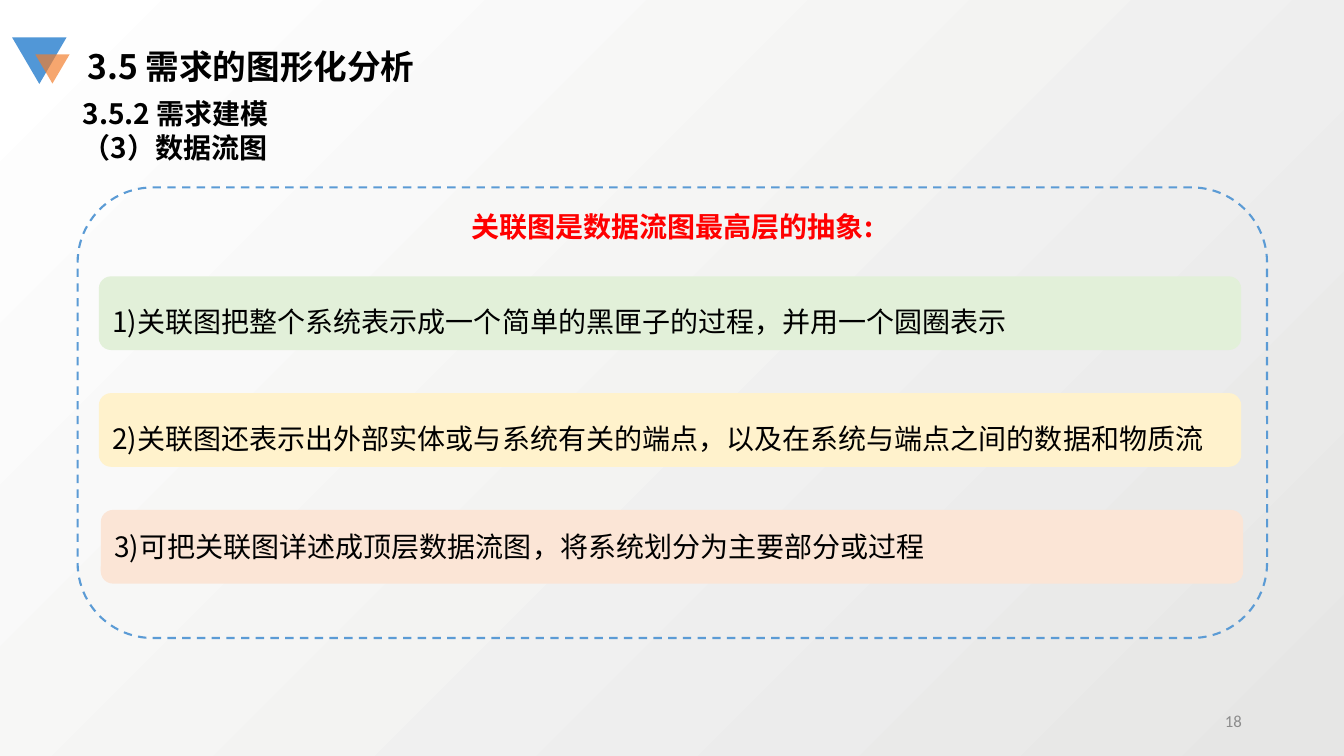
from dataclasses import dataclass
from typing import Optional

from lxml.etree import SubElement
from pptx import Presentation
from pptx.dml.color import RGBColor
from pptx.enum.dml import MSO_LINE
from pptx.enum.shapes import MSO_SHAPE
from pptx.enum.text import MSO_ANCHOR, PP_ALIGN
from pptx.oxml.ns import qn
from pptx.util import Inches, Pt

# Slide grid: 40 columns by 20 rows
WIDTH, HEIGHT = Inches(13.33), Inches(7.5)
COLUMN, ROW = WIDTH / 40, HEIGHT / 20


@dataclass(frozen=True)
class Theme:
    cjk: str = "Noto Sans CJK SC"
    latin: str = "Calibri"
    title_size: int = 24
    body_size: int = 20
    number_size: int = 12
    ink: str = "000000"
    accent: str = "FF0000"
    muted: str = "8C8C8C"
    frame: str = "5B9BD5"
    blue: str = "5197D7"
    orange: str = "F37D2A"
    shade: str = "E6E6E5"
    light: str = "FFFFFF"
    green: str = "E2F0D9"
    yellow: str = "FFF2CC"
    peach: str = "FBE5D6"


THEME = Theme()


@dataclass(frozen=True)
class Area:
    """Place on the grid, in columns and rows."""
    left: float
    top: float
    width: float
    height: float

    def emu(self) -> tuple:
        return (round(self.left * COLUMN), round(self.top * ROW),
                round(self.width * COLUMN), round(self.height * ROW))


@dataclass(frozen=True)
class Triangle:
    area: Area
    color: str
    opacity: int


@dataclass(frozen=True)
class Point:
    text: str
    fill: str
    left: float = 2.94
    spacing: float = 1.5


TRIANGLES = [
    Triangle(Area(0.36, 0.99, 1.62, 1.23), THEME.blue, 100),
    Triangle(Area(1.05, 1.44, 1.02, 0.77), THEME.orange, 68),
]
POINTS = [
    Point("1)关联图把整个系统表示成一个简单的黑匣子的过程，并用一个圆圈表示", THEME.green),
    Point("2)关联图还表示出外部实体或与系统有关的端点，以及在系统与端点之间的数据和物质流",
          THEME.yellow),
    Point("3)可把关联图详述成顶层数据流图，将系统划分为主要部分或过程", THEME.peach,
          left=3, spacing=1),
]
FIRST_POINT, POINT_STEP = 7.31, 3.09
BAR_WIDTH, BAR_HEIGHT = 34, 1.95


def write(box, text: str, *, size: int = THEME.body_size, color: str = THEME.ink,
          font: str = THEME.cjk, bold: bool = False, align=PP_ALIGN.LEFT,
          anchor=MSO_ANCHOR.MIDDLE, spacing: float = 1, wrap: bool = True) -> None:
    """Fill a box with text, one paragraph per line."""
    frame = box.text_frame
    frame.word_wrap = wrap
    frame.vertical_anchor = anchor
    for index, line in enumerate(text.split("\n")):
        para = frame.add_paragraph() if index else frame.paragraphs[0]
        para.alignment = align
        para.line_spacing = spacing
        span = para.add_run()
        span.text = line
        span.font.size = Pt(size)
        span.font.bold = bold
        span.font.name = font
        span.font.color.rgb = RGBColor.from_string(color)
        SubElement(span.font._element, qn("a:ea")).set("typeface", font)


def add_figure(page, kind, area: Area, fill: Optional[str] = None,
               line: Optional[str] = None, opacity: int = 100):
    figure = page.shapes.add_shape(kind, *area.emu())
    figure.shadow.inherit = False
    if fill:
        figure.fill.solid()
        figure.fill.fore_color.rgb = RGBColor.from_string(fill)
        if opacity < 100:
            color = figure.fill._xPr.find(".//" + qn("a:srgbClr"))
            SubElement(color, qn("a:alpha")).set("val", str(opacity * 1000))
    else:
        figure.fill.background()
    if line:
        figure.line.color.rgb = RGBColor.from_string(line)
        figure.line.width = Pt(1.5)
        figure.line.dash_style = MSO_LINE.DASH
    else:
        figure.line.fill.background()
    return figure


def add_text(page, area: Area, text: str, **style) -> None:
    write(page.shapes.add_textbox(*area.emu()), text, **style)


def paint_background(page) -> None:
    fill = page.background.fill
    fill.gradient()
    fill.gradient_angle = 135
    for stop, color in zip(fill.gradient_stops, (THEME.shade, THEME.light)):
        stop.color.rgb = RGBColor.from_string(color)


def main() -> None:
    deck = Presentation()
    deck.slide_width, deck.slide_height = WIDTH, HEIGHT
    page = deck.slides.add_slide(deck.slide_layouts[6])
    paint_background(page)

    # Heading mark and headings
    for mark in TRIANGLES:
        add_figure(page, MSO_SHAPE.ISOSCELES_TRIANGLE, mark.area, mark.color,
                   opacity=mark.opacity).rotation = 180
    add_text(page, Area(2.31, 1.07, 10.59, 1.33), "3.5 需求的图形化分析",
             size=THEME.title_size, bold=True, anchor=MSO_ANCHOR.TOP, wrap=False)
    add_text(page, Area(2.16, 2.43, 25.47, 2.05), "3.5.2 需求建模\n（3）数据流图",
             bold=True, anchor=MSO_ANCHOR.TOP)

    # Dashed frame and its caption
    caption = add_figure(page, MSO_SHAPE.ROUNDED_RECTANGLE,
                         Area(2.31, 4.96, 35.4, BAR_HEIGHT))
    caption.text_frame.margin_bottom = 0
    write(caption, "关联图是数据流图最高层的抽象:", color=THEME.accent, bold=True,
          align=PP_ALIGN.CENTER)
    add_figure(page, MSO_SHAPE.ROUNDED_RECTANGLE, Area(2.31, 4.96, 35.4, 11.92),
               line=THEME.frame)

    # Numbered points
    for index, point in enumerate(POINTS):
        area = Area(point.left, FIRST_POINT + index * POINT_STEP, BAR_WIDTH, BAR_HEIGHT)
        bar = add_figure(page, MSO_SHAPE.ROUNDED_RECTANGLE, area, point.fill)
        write(bar, point.text, spacing=point.spacing)

    # Page number
    add_text(page, Area(28.26, 18.53, 9, 1.07), "18", size=THEME.number_size,
             color=THEME.muted, font=THEME.latin, align=PP_ALIGN.RIGHT)

    deck.save("out.pptx")


if __name__ == "__main__":
    main()
